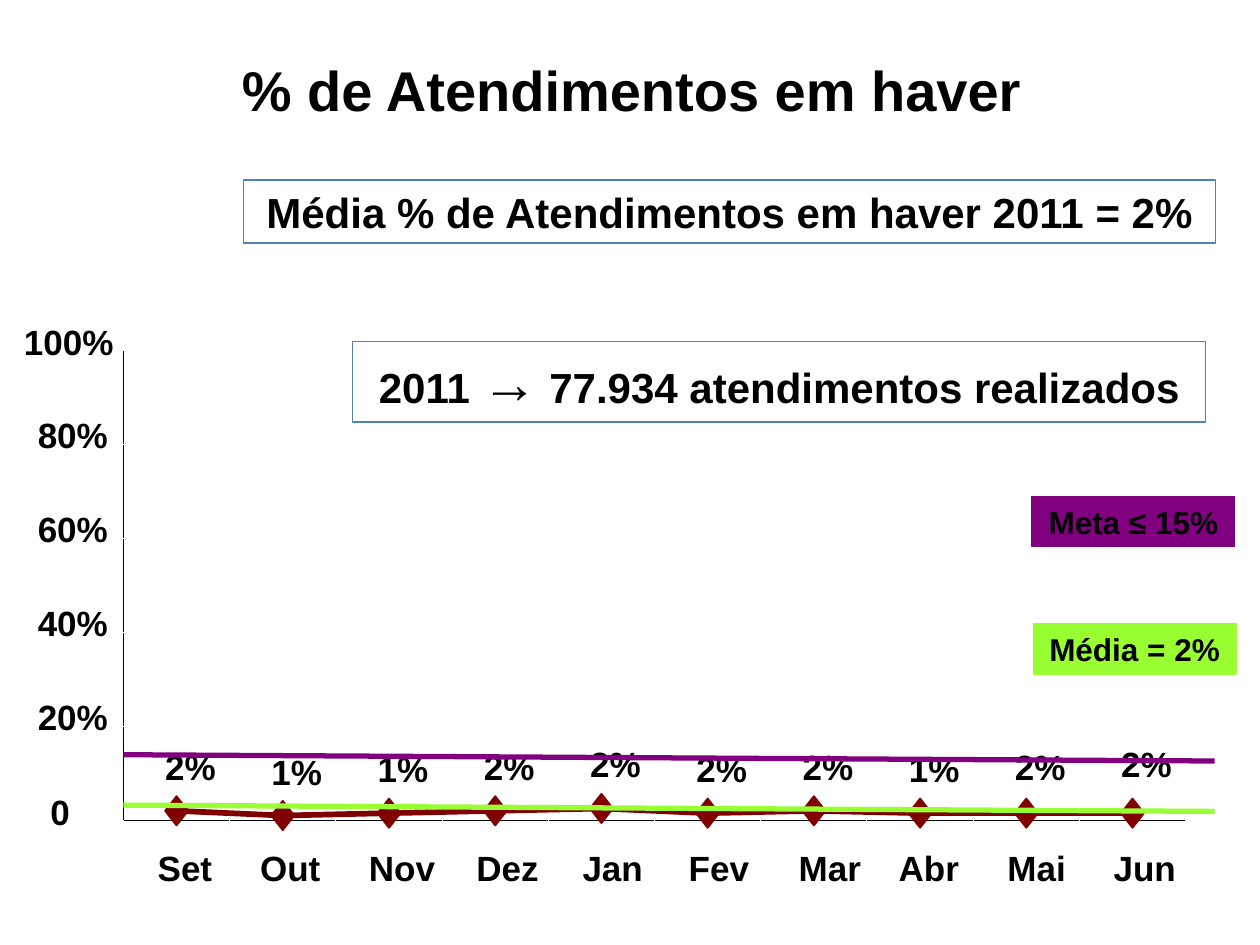
from dataclasses import dataclass

from lxml import etree
from pptx import Presentation
from pptx import util as u
from pptx.dml.color import RGBColor
from pptx.enum import shapes, text
from pptx.oxml import ns


@dataclass(frozen=True)
class Theme:
    """Colours, font, type sizes and thinnest line of the slide."""
    font: str = "Arial"
    ink: str = "000000"
    paper: str = "FFFFFF"
    frame: str = "4F81BD"
    data: str = "800000"
    goal: str = "800080"
    mean: str = "99FF33"
    head: int = 32
    note: int = 24
    axis: int = 20
    key: int = 18
    hair: float = 0.01


T = Theme()
# month, offset left of its point, value in %, data label, label height in %
MONTHS = [
    ("Set", 0.15, 2, "2%", 2), ("Out ", 0.18, 1, "1%", 1),
    ("Nov", 0.16, 1.5, "1%", 1.5), ("Dez", 0.15, 2, "2%", 2),
    ("Jan", 0.15, 2.5, "2%", 2.5), ("Fev", 0.15, 1.5, "2%", 1.5),
    ("Mar", 0.12, 2, "2%", 2), ("Abr", 0.17, 1.5, "1%", 1.5),
    ("Mai", 0.15, 1.5, "2%", 2), ("Jun", 0.15, 1.5, "2%", 2.5),
]
# scale label, offset left of the axis, width
SCALE = [("0", 0.58, 0.2), ("20%", 0.68, 0.6), ("40%", 0.68, 0.6),
         ("60%", 0.68, 0.6), ("80%", 0.68, 0.6), ("100%", 0.79, 0.78)]


def rgb(code):
    """Turn a hex code into a colour."""
    return RGBColor.from_string(code)


def box(x, y, w, h):
    """Give a box in inches as four lengths."""
    return [u.Inches(v) for v in (x, y, w, h)]


def write(frame, runs, align=None, inset=(0, 0), wrap=False, before=None):
    """Write (words, size) runs as one bold paragraph."""
    frame.word_wrap = wrap
    frame.auto_size = text.MSO_AUTO_SIZE.SHAPE_TO_FIT_TEXT
    frame.vertical_anchor = text.MSO_ANCHOR.TOP
    frame.margin_left = frame.margin_right = u.Inches(inset[0])
    frame.margin_top = frame.margin_bottom = u.Inches(inset[1])
    para = frame.paragraphs[0]
    para.alignment = align
    if before:
        para.space_before = u.Pt(before)
    for words, size in runs:
        run = para.add_run()
        run.text = words
        run.font.name, run.font.size = T.font, u.Pt(size)
        run.font.bold = True
        run.font.color.rgb = rgb(T.ink)


def label(slide, words, x, y, w):
    """Place one chart label."""
    item = slide.shapes.add_textbox(*box(x, y, w, 0.33))
    write(item.text_frame, [(words, T.axis)], text.PP_ALIGN.LEFT)


def paint(item, fill, line, width):
    """Set fill and outline, without shadow."""
    item.shadow.inherit = False
    if fill:
        item.fill.solid()
        item.fill.fore_color.rgb = rgb(fill)
    else:
        item.fill.background()
    item.line.color.rgb = rgb(line)
    item.line.width = u.Pt(width)


def rule(slide, x1, y1, x2, y2, color, width=T.hair):
    """Draw a straight line."""
    item = slide.shapes.add_connector(
        shapes.MSO_CONNECTOR.STRAIGHT, *box(x1, y1, x2, y2))
    item.line.color.rgb = rgb(color)
    item.line.width = u.Pt(width)
    etree.SubElement(item._element.spPr, ns.qn("a:effectLst"))


def panel(slide, x, y, w, h, runs, line, fill=None, before=15):
    """Draw a framed box with centred text."""
    item = slide.shapes.add_shape(
        shapes.MSO_SHAPE.RECTANGLE, *box(x, y, w, h))
    paint(item, fill, line, 0.74)
    write(item.text_frame, runs, text.PP_ALIGN.CENTER, (0.1, 0.05), True,
          before)


def title(slide, x, y, w, h):
    """Fill the title placeholder."""
    item = slide.shapes.title
    item.left, item.top, item.width, item.height = box(x, y, w, h)
    write(item.text_frame, [("% de Atendimentos em haver", T.head)],
          text.PP_ALIGN.CENTER)


def axes(slide, x, y, w, h):
    """Draw both axes with their ticks inside the plot box."""
    base = y + h
    rule(slide, x, y, x, base, T.ink)
    for i in range(len(SCALE)):
        tick = base - i * h / (len(SCALE) - 1)
        rule(slide, x - 0.06, tick, x, tick, T.paper)
    rule(slide, x, base, x + w, base, T.ink)
    for i in range(len(MONTHS) + 1):
        tick = x + i * w / len(MONTHS)
        rule(slide, tick, base + 0.08, tick, base, T.paper)


def series(slide, x, y, w, h):
    """Draw the monthly line, its markers and all labels."""
    base, step = y + h, w / len(MONTHS)
    spots = [(x + (i + 0.5) * step, base - m[2] * h / 100)
             for i, m in enumerate(MONTHS)]
    dots = [(u.Inches(px), u.Inches(py)) for px, py in spots]
    pen = slide.shapes.build_freeform(*dots[0])
    pen.add_line_segments(dots[1:], close=False)
    paint(pen.convert_to_shape(), None, T.data, 3.26)
    for px, py in spots:
        mark = slide.shapes.add_shape(
            shapes.MSO_SHAPE.DIAMOND, *box(px - 0.09, py, 0.18, 0.23))
        mark.top -= mark.height // 2
        paint(mark, T.data, T.data, 1.13)
    for i, (words, back, wide) in enumerate(SCALE):
        label(slide, words, x - back,
              base - i * h / (len(SCALE) - 1) - 0.24, wide)
    for (px, _), (name, back, _, shown, level) in zip(spots, MONTHS):
        label(slide, name, px - back, base + 0.21, 0.6)
        label(slide, shown, px - 0.09, base - level * h / 100 - 0.52, 0.48)


def chart(slide, x, y, w, h):
    """Build the chart with its goal and mean lines and keys."""
    axes(slide, x, y, w, h)
    series(slide, x, y, w, h)
    keys = [("Meta ≤ 15%", T.goal, 3.21, 1.16, 7.21),
            ("Média = 2%", T.mean, 3.61, 2.17, 7.22)]
    for words, color, drop, top, left in keys:
        rule(slide, x, y + drop, x + w + 0.23, y + drop + 0.05, color, 3)
        panel(slide, x + left, y + top, 1.61, 0.4, [(words, T.key)],
              color, color, 11.2)


def main():
    """Build and save the slide."""
    deck = Presentation()
    deck.slide_width, deck.slide_height = u.Inches(10), u.Inches(7.5)
    slide = deck.slides.add_slide(deck.slide_layouts[5])
    title(slide, 1.91, 0.44, 6.21, 0.53)
    panel(slide, 1.93, 1.43, 7.72, 0.5,
          [("Média % de Atendimentos em haver 2011 = 2%", T.note)], T.frame)
    chart(slide, 0.98, 2.78, 8.43, 3.73)
    panel(slide, 2.8, 2.71, 6.77, 0.64,
          [("2011 ", T.note), ("→", T.head),
           (" 77.934 atendimentos realizados", T.note)], T.frame)
    deck.save("out.pptx")


main()
